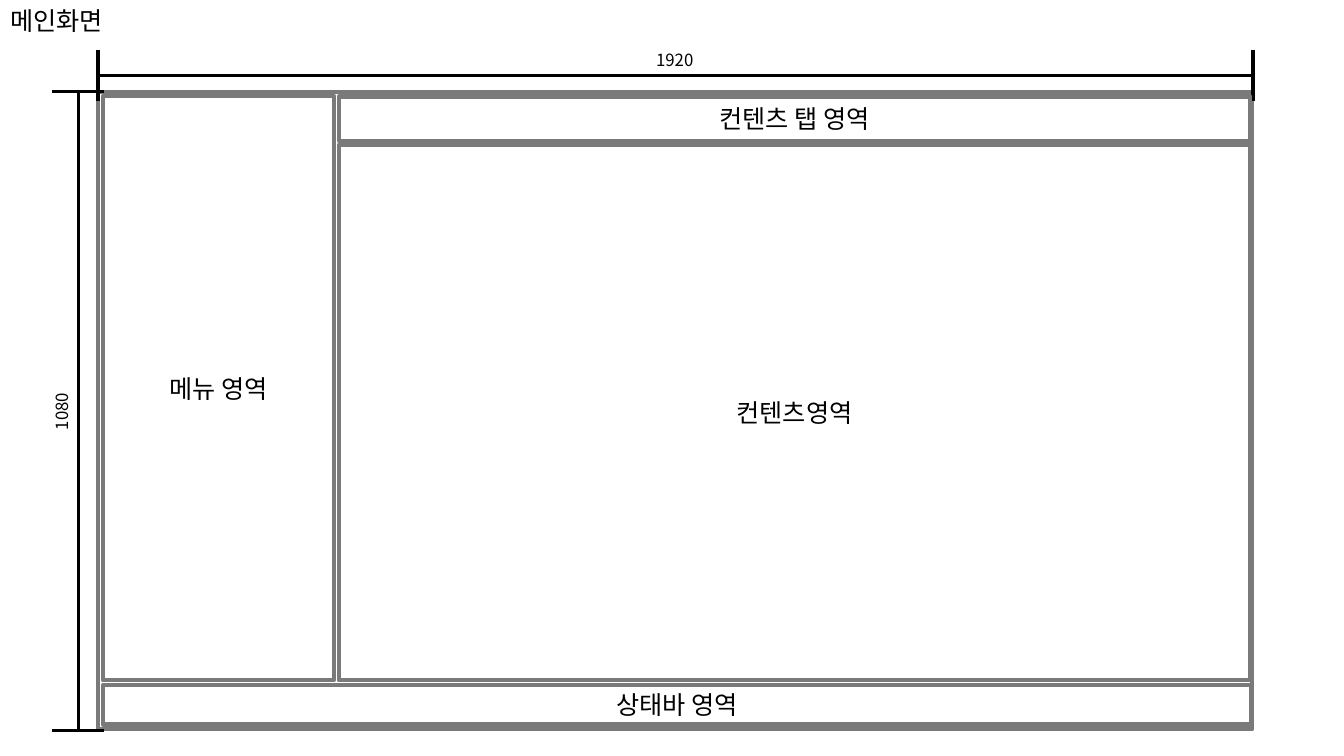
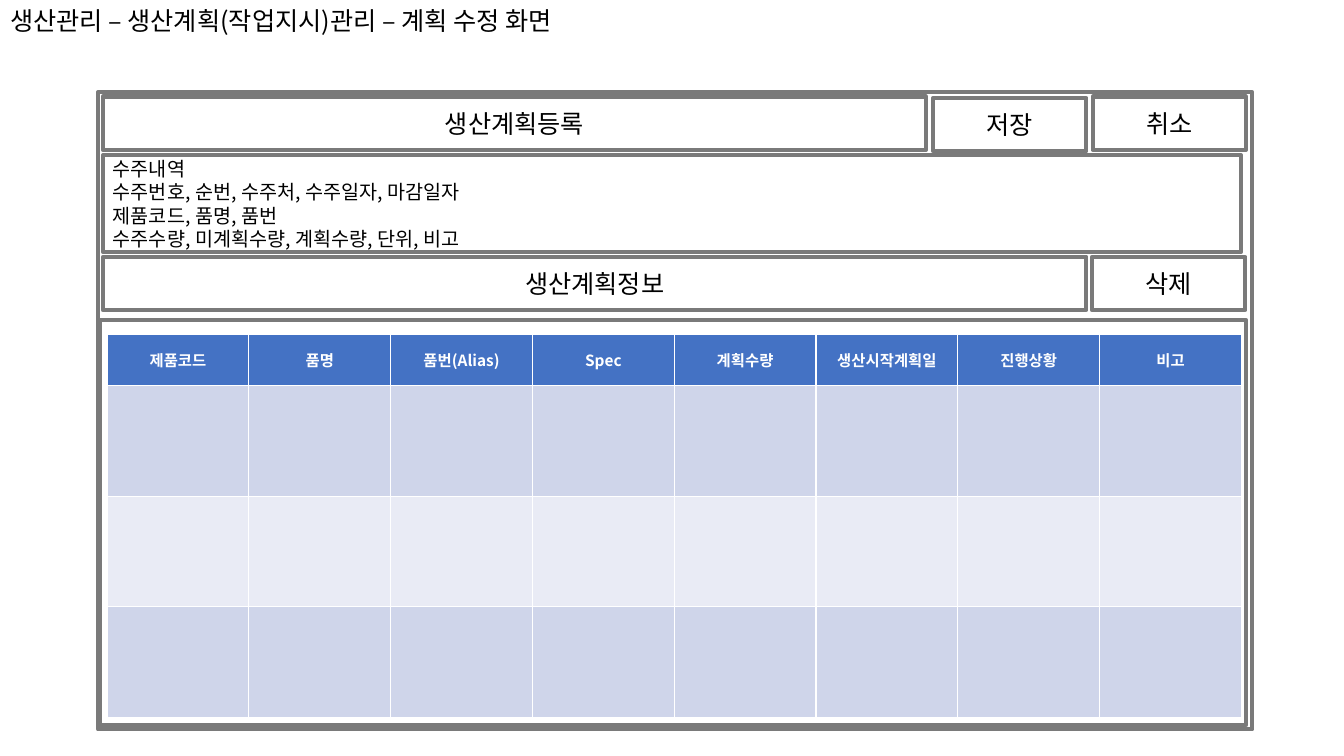
"""Build two wireframe slides: the main screen layout and the plan editing screen."""
from dataclasses import dataclass

from lxml import etree
from pptx import Presentation
from pptx import util as u
from pptx.dml.color import RGBColor
from pptx.enum import shapes, text
from pptx.oxml.ns import qn

Pt = u.Pt


@dataclass(frozen=True)
class Theme:
    """Colours, type sizes and line widths of the deck."""
    font: str = "Noto Sans CJK KR"
    ink: str = "000000"
    white: str = "FFFFFF"
    border: str = "7A7A7A"
    header: str = "4472C4"
    bands: tuple = ("CFD5EA", "E9EBF5")
    title_size: float = 18
    body_size: float = 14
    label_size: float = 12
    table_size: float = 11
    border_width: float = 3
    rule_width: float = 2.25


class Wireframe:
    """Hold the style and the current slide, and draw its elements."""

    def __init__(self, prs, theme):
        """Keep the presentation and the theme."""
        self.prs = prs
        self.theme = theme
        self.s = None

    def set_text(self, tf, lines, size, color, align=text.PP_ALIGN.CENTER, bold=False):
        """Fill a text frame with one styled paragraph per line."""
        tf.text = "\n".join(lines)
        for p in tf.paragraphs:
            p.alignment = align
            p.font.size = Pt(size)
            p.font.bold = bold
            p.font.color.rgb = RGBColor.from_string(color)
            p.font.name = self.theme.font
            props = p._p.pPr.find(qn("a:defRPr"))
            etree.SubElement(props, qn("a:ea"), typeface=self.theme.font)

    def slide(self, title, width):
        """Start a slide with its title and screen frame."""
        self.s = self.prs.slides.add_slide(self.prs.slide_layouts[5])
        sp = self.s.shapes.title
        sp.left, sp.top, sp.width, sp.height = Pt(0), Pt(0), Pt(width), Pt(29)
        tf = sp.text_frame
        tf.word_wrap = False
        tf.auto_size = text.MSO_AUTO_SIZE.SHAPE_TO_FIT_TEXT
        tf.vertical_anchor = text.MSO_ANCHOR.TOP
        self.set_text(tf, [title], self.theme.title_size, self.theme.ink,
                      text.PP_ALIGN.LEFT)
        self.box(70, 66, 824.5, 455)

    def box(self, x, y, w, h, *lines, size=None, align=text.PP_ALIGN.CENTER):
        """Draw an outlined area with optional text."""
        sp = self.s.shapes.add_shape(shapes.MSO_SHAPE.RECTANGLE,
                                     Pt(x), Pt(y), Pt(w), Pt(h))
        sp.shadow.inherit = False
        sp.fill.background()
        sp.line.color.rgb = RGBColor.from_string(self.theme.border)
        sp.line.width = Pt(self.theme.border_width)
        if lines:
            sp.text_frame.vertical_anchor = text.MSO_ANCHOR.MIDDLE
            self.set_text(sp.text_frame, lines, size or self.theme.title_size,
                          self.theme.ink, align)

    def rule(self, group, x1, y1, x2, y2):
        """Draw a black line in a group."""
        line = group.shapes.add_connector(shapes.MSO_CONNECTOR.STRAIGHT,
                                          Pt(x1), Pt(y1), Pt(x2), Pt(y2))
        line.line.color.rgb = RGBColor.from_string(self.theme.ink)
        line.line.width = Pt(self.theme.rule_width)
        etree.SubElement(line._element.spPr, qn("a:effectLst"))

    def dimension(self, label, x, y, rules, rotation=0):
        """Draw a grouped dimension with its rules and label."""
        group = self.s.shapes.add_group_shape()
        for ends in rules:
            self.rule(group, *ends)
        sp = group.shapes.add_textbox(Pt(x), Pt(y), Pt(41), Pt(21.8))
        sp.rotation = rotation
        tf = sp.text_frame
        tf.word_wrap = False
        tf.auto_size = text.MSO_AUTO_SIZE.SHAPE_TO_FIT_TEXT
        tf.vertical_anchor = text.MSO_ANCHOR.BOTTOM
        self.set_text(tf, [label], self.theme.label_size, self.theme.ink)

    def table(self, x, y, w, headers, head_height, row_height, row_count):
        """Draw a table with a header and empty banded rows."""
        height = head_height + row_count * row_height
        table = self.s.shapes.add_table(row_count + 1, len(headers),
                                        Pt(x), Pt(y), Pt(w), Pt(height)).table
        for i, row in enumerate(table.rows):
            row.height = Pt(row_height if i else head_height)
            color = self.theme.bands[(i - 1) % 2] if i else self.theme.header
            for cell in row.cells:
                cell.fill.solid()
                cell.fill.fore_color.rgb = RGBColor.from_string(color)
        for cell, header in zip(table.rows[0].cells, headers):
            cell.vertical_anchor = text.MSO_ANCHOR.MIDDLE
            self.set_text(cell.text_frame, [header], self.theme.table_size,
                          self.theme.white, bold=True)


def main_screen(wf):
    """Draw the main screen areas and dimensions."""
    wf.slide("메인화면", 87)
    left, right, top, bottom = 70, 895, 65.5, 522
    wf.dimension("1920", 461.5, 31.7,
                 [(x, 72, x, 36) for x in (left, right)] + [(69, 54, right, 54)])
    wf.dimension("1080", 23.8, 283,
                 [(74, y, 37.5, y) for y in (bottom, top)] + [(56, bottom, 56, top)],
                 rotation=270)
    wf.box(73.5, 68.5, 165, 417.5, "메뉴 영역")
    wf.box(242, 103.5, 651, 382.5, "컨텐츠영역")
    wf.box(73.5, 489.5, 820, 28, "상태바 영역")
    wf.box(242, 69, 651, 31.5, "컨텐츠 탭 영역")


def plan_screen(wf):
    """Draw the plan editing screen."""
    wf.slide("생산관리 – 생산계획(작업지시)관리 – 계획 수정 화면", 446.4)
    wf.box(73.5, 69, 588, 38, "생산계획등록")
    wf.box(73.5, 111, 813, 69, "수주내역",
           "수주번호, 순번, 수주처, 수주일자, 마감일자",
           "제품코드, 품명, 품번",
           "수주수량, 미계획수량, 계획수량, 단위, 비고",
           size=wf.theme.body_size, align=text.PP_ALIGN.LEFT)
    wf.box(71.5, 228.5, 818.5, 289.5)
    wf.box(73.5, 183.5, 702.5, 38, "생산계획정보")
    wf.table(76.5, 239, 810.4,
             ["제품코드", "품명", "품번(Alias)", "Spec", "계획수량",
              "생산시작계획일", "진행상황", "비고"],
             head_height=36.5, row_height=79, row_count=3)
    for label, x, y in (("취소", 780.5, 69), ("저장", 666.5, 70), ("삭제", 780, 183.5)):
        wf.box(x, y, 109.5, 38, label)


def main():
    """Build and save the deck."""
    prs = Presentation()
    prs.slide_width, prs.slide_height = Pt(960), Pt(540)
    wf = Wireframe(prs, Theme())
    main_screen(wf)
    plan_screen(wf)
    prs.save("out.pptx")


if __name__ == "__main__":
    main()
